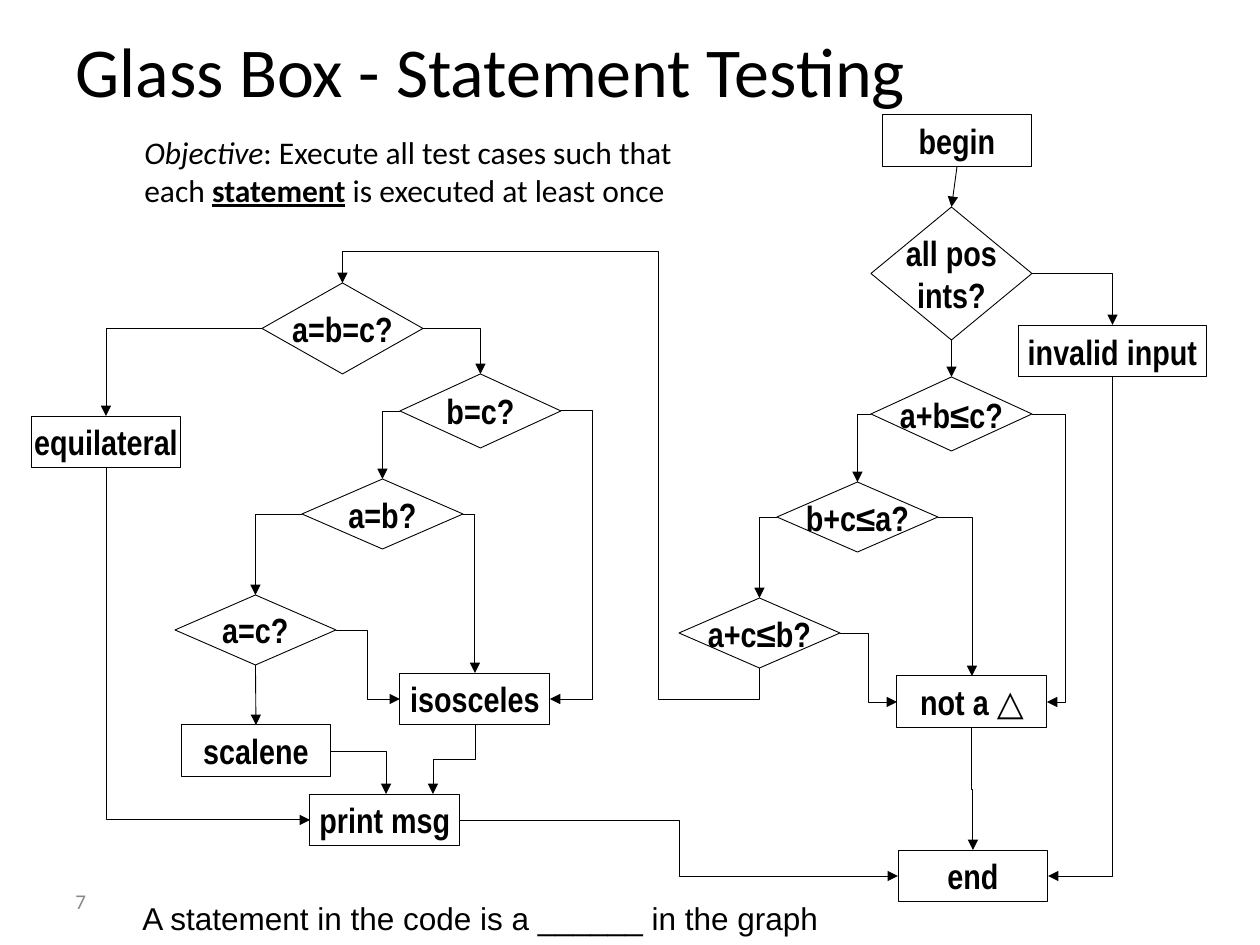
from lxml.etree import SubElement
from pptx import Presentation
from pptx.dml.color import RGBColor
from pptx.enum.shapes import MSO_CONNECTOR as Connector, MSO_SHAPE as Shape
from pptx.enum.text import MSO_ANCHOR as Anchor, PP_ALIGN as Align
from pptx.oxml.ns import qn
from pptx.util import Pt

EMU_PER_PX = 914400 / 126
BLACK, WHITE, GREY = "000000", "FFFFFF", "898989"
TOP, LEFT, BOTTOM, RIGHT = range(4)  # connection sites of boxes and diamonds
BOX_WIDTH, BOX_HEIGHT, DIAMOND_WIDTH = 150, 52, 161

# text: left, top, width
BOXES = {
    "begin": (882, 115, BOX_WIDTH),
    "invalid input": (1018, 325, 189),
    "not a △": (897, 676, BOX_WIDTH),
    "end": (898, 850, BOX_WIDTH),
    "equilateral": (31, 416, BOX_WIDTH),
    "isosceles": (400, 673, BOX_WIDTH),
    "scalene": (181, 725, BOX_WIDTH),
    "print msg": (310, 794, BOX_WIDTH),
}
# text: left, top, height
DIAMONDS = {
    "all pos\nints?": (871, 207, 133),
    "a+b≤c?": (871, 377, 74),
    "b+c≤a?": (777, 482, 70),
    "a+c≤b?": (679, 598, 70),
    "a=b=c?": (262, 283, 91),
    "b=c?": (400, 374, 74),
    "a=b?": (302, 479, 70),
    "a=c?": (175, 595, 70),
}
STRAIGHT_LINKS = [
    ("begin", "all pos\nints?"),
    ("all pos\nints?", "a+b≤c?"),
    ("a=c?", "scalene"),
]
# start, side, end, side (or a point on the end), then the lanes of the inner bends
BENT_LINKS = [
    ("all pos\nints?", RIGHT, "invalid input", TOP),
    ("a+b≤c?", LEFT, "b+c≤a?", TOP),
    ("a+b≤c?", RIGHT, "not a △", RIGHT, 1066),
    ("b+c≤a?", LEFT, "a+c≤b?", TOP),
    ("b+c≤a?", RIGHT, "not a △", TOP),
    ("a+c≤b?", RIGHT, "not a △", LEFT, 868),
    ("a+c≤b?", BOTTOM, "a=b=c?", TOP, 699, 658, 251),
    ("invalid input", BOTTOM, "end", RIGHT),
    ("not a △", BOTTOM, "end", TOP, 789),
    ("a=b=c?", LEFT, "equilateral", TOP),
    ("a=b=c?", RIGHT, "b=c?", TOP),
    ("b=c?", LEFT, "a=b?", TOP),
    ("b=c?", RIGHT, "isosceles", RIGHT, 593),
    ("a=b?", LEFT, "a=c?", TOP),
    ("a=b?", RIGHT, "isosceles", TOP),
    ("a=c?", RIGHT, "isosceles", LEFT, 368),
    ("equilateral", BOTTOM, "print msg", LEFT),
    ("scalene", RIGHT, "print msg", (386, 794)),
    ("isosceles", BOTTOM, "print msg", (433, 794), 759),
    ("print msg", RIGHT, "end", LEFT, 680),
]


def px(length):
    return round(length * EMU_PER_PX)


def color(value):
    return RGBColor.from_string(value)


def style_font(font, name, size, fill=BLACK, bold=None):
    font.name, font.size, font.bold = name, Pt(size), bold
    font.color.rgb = color(fill)


def add_text(page, bounds, lines, name, size, fill=BLACK, anchor=Anchor.TOP):
    """Each line is a list of (text, font attributes to switch on)."""
    frame = page.shapes.add_textbox(*map(px, bounds)).text_frame
    frame.word_wrap, frame.vertical_anchor = False, anchor
    for index, line in enumerate(lines):
        para = frame.add_paragraph() if index else frame.paragraphs[0]
        style_font(para.font, name, size, fill)
        for text, switches in line:
            span = para.add_run()
            span.text = text
            for switch in switches:
                setattr(span.font, switch, True)


def add_node(page, kind, text, bounds):
    node = page.shapes.add_shape(kind, *map(px, bounds))
    node.shadow.inherit = False
    node.fill.solid()
    node.fill.fore_color.rgb = color(WHITE)
    node.line.color.rgb = color(BLACK)
    node.line.width = Pt(0.5)
    frame = node.text_frame
    frame.word_wrap, frame.vertical_anchor = False, Anchor.MIDDLE
    para = frame.paragraphs[0]
    para.alignment = Align.CENTER
    style_font(para.font, "Arial Narrow", 20, bold=True)
    words, triangle, _ = text.partition("△")
    para.text = words
    if triangle:
        span = para.add_run()
        span.text = triangle
        span.font.name = "Arial"
    return node


def site_point(node, side):
    middle_x, middle_y = node.left + node.width // 2, node.top + node.height // 2
    return {
        TOP: (middle_x, node.top),
        LEFT: (node.left, middle_y),
        BOTTOM: (middle_x, node.top + node.height),
        RIGHT: (node.left + node.width, middle_y),
    }[side]


def add_arrow(page, kind, start, end):
    arrow = page.shapes.add_connector(kind, *start, *end)
    arrow.line.color.rgb = color(BLACK)
    arrow.line.width = Pt(0.5)
    SubElement(arrow.line._get_or_add_ln(), qn("a:tailEnd"), type="triangle")
    SubElement(arrow._element.spPr, qn("a:effectLst"))
    return arrow


def link_straight(page, upper, lower):
    arrow = add_arrow(page, Connector.STRAIGHT,
                      site_point(upper, BOTTOM), site_point(lower, TOP))
    arrow.begin_connect(upper, BOTTOM)
    arrow.end_connect(lower, TOP)


def link_bent(page, first, side, last, target, *lanes):
    """Lanes are alternating x and y positions, first along the leaving direction."""
    glued = not isinstance(target, tuple)
    start = site_point(first, side)
    end = site_point(last, target) if glued else tuple(map(px, target))
    arrow = add_arrow(page, Connector.ELBOW, start, end)
    arrow.begin_connect(first, side)
    if glued:
        arrow.end_connect(last, target)

    main = 0 if side in (LEFT, RIGHT) else 1
    span = [end[axis] - start[axis] for axis in (0, 1)]
    center = [(start[axis] + end[axis]) / 2 for axis in (0, 1)]
    arrow.width, arrow.height = abs(span[main]), abs(span[1 - main])
    arrow.left = round(center[0] - arrow.width / 2)
    arrow.top = round(center[1] - arrow.height / 2)
    flip_v = span[0] > 0 if main else span[1] < 0
    frame = arrow._element.spPr.find(qn("a:xfrm"))
    frame.set("rot", str(main * 90 * 60000))
    frame.set("flipH", str(int(span[main] < 0)))
    frame.set("flipV", str(int(flip_v)))

    geometry = arrow._element.spPr.find(qn("a:prstGeom"))
    geometry.set("prst", f"bentConnector{len(lanes) + 2}")
    guides = geometry.find(qn("a:avLst"))
    for index, lane in enumerate(lanes):
        axis = (main + index) % 2
        share = round((px(lane) - start[axis]) / span[axis] * 100000)
        SubElement(guides, qn("a:gd"), name=f"adj{index + 1}", fmla=f"val {share}")


def main():
    deck = Presentation()
    deck.slide_width, deck.slide_height = px(1260), px(945)
    page = deck.slides.add_slide(deck.slide_layouts[6])

    add_text(page, (63, 876, 294, 50), [[("7", ())]], "Calibri", 12, GREY, Anchor.MIDDLE)
    add_text(page, (63, 21, 1134, 98), [[("Glass Box - Statement Testing", ())]],
             "Calibri", 40, anchor=Anchor.MIDDLE)
    add_text(page, (132, 127, 554, 88), [
        [("Objective", ["italic"]), (": Execute all test cases such that", ())],
        [("each ", ()), ("statement", ["bold", "underline"]),
         (" is executed at least once", ())],
    ], "Calibri", 18)
    add_text(page, (130, 893, 703, 50),
             [[("A statement in the code is a ______ in the graph", ())]], "Arial", 18)

    nodes = {}
    for text, (left, top, width) in BOXES.items():
        nodes[text] = add_node(page, Shape.RECTANGLE, text, (left, top, width, BOX_HEIGHT))
    for text, (left, top, height) in DIAMONDS.items():
        nodes[text] = add_node(page, Shape.DIAMOND, text, (left, top, DIAMOND_WIDTH, height))
    for upper, lower in STRAIGHT_LINKS:
        link_straight(page, nodes[upper], nodes[lower])
    for first, side, last, target, *lanes in BENT_LINKS:
        link_bent(page, nodes[first], side, nodes[last], target, *lanes)

    deck.save("out.pptx")


if __name__ == "__main__":
    main()
